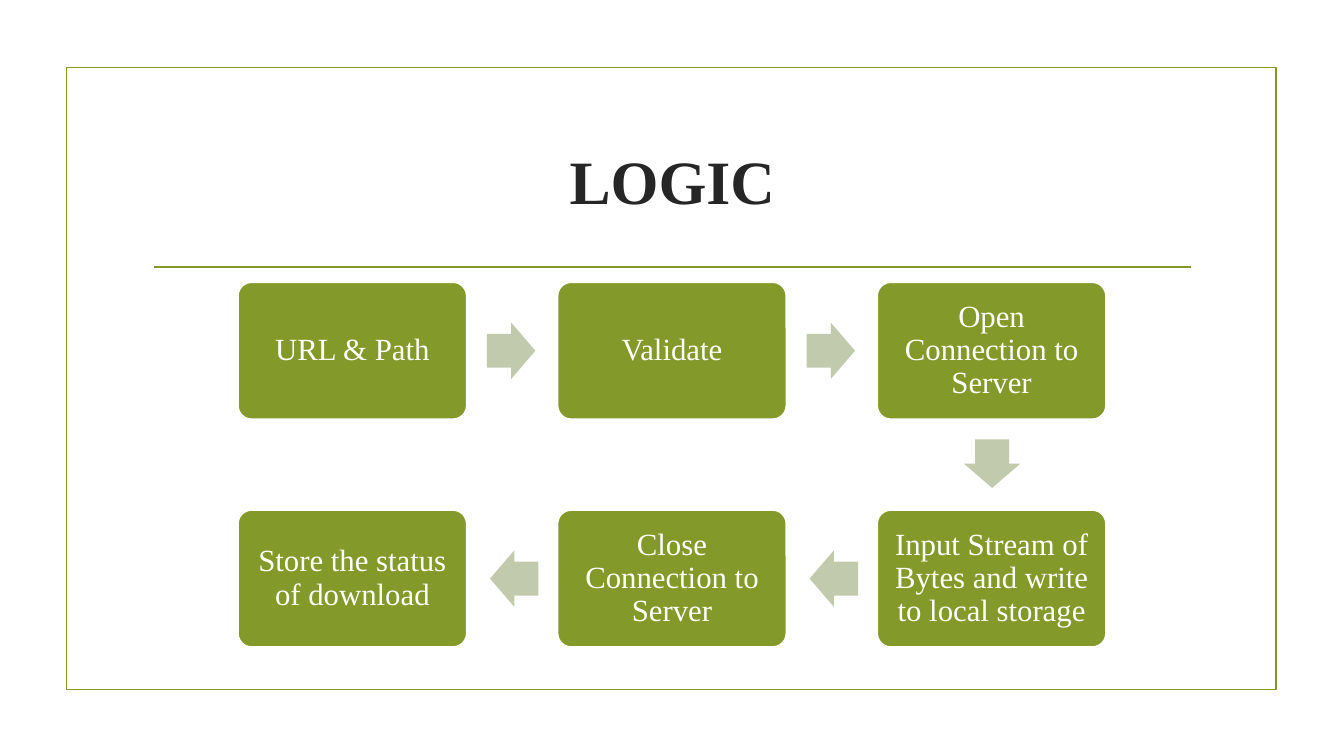
from typing import NamedTuple

from lxml import etree
from pptx import Presentation, util as u
from pptx.dml.color import RGBColor
from pptx.enum import shapes as sh, text as tx
from pptx.oxml.ns import qn

PX = 9144  # EMU per px, 100 px to the inch
FONT = "Times New Roman"
GREEN, PALE, WHITE, DARK = "83992A", "C1CAAD", "FFFFFF", "262626"
BOX_W, BOX_H = 227, 136
ARROW_W, ARROW_H = 48, 56
LEFT, TOP = 236, 280
COL_GAP, ROW_GAP = 317, 226


class Step(NamedTuple):
    label: str
    col: int
    row: int


class Arrow(NamedTuple):
    col: int
    row: int
    dx: int  # offset from the box in that cell
    dy: int
    turn: int = 0


STEPS = [
    Step("URL & Path", 0, 0),
    Step("Validate", 1, 0),
    Step("Open Connection to Server", 2, 0),
    Step("Input Stream of Bytes and write to local storage", 2, 1),
    Step("Close Connection to Server", 1, 1),
    Step("Store the status of download", 0, 1),
]
ARROWS = [
    Arrow(0, 0, 247, 40),
    Arrow(1, 0, 247, 40),
    Arrow(2, 0, 90, 152, 90),
    Arrow(1, 1, 250, 40, 180),
    Arrow(0, 1, 250, 40, 180),
]


def px(*vals: int) -> list[u.Emu]:
    return [u.Emu(v * PX) for v in vals]


def color(code: str) -> RGBColor:
    return RGBColor.from_string(code)


def cell(col: int, row: int) -> tuple[int, int]:
    return LEFT + col * COL_GAP, TOP + row * ROW_GAP


def write(shape, words: str, *, size: int, ink: str, bold: bool = False,
          inset: int = 9, space: float = 1.0) -> None:
    frame = shape.text_frame
    frame.word_wrap = True
    frame.vertical_anchor = tx.MSO_ANCHOR.MIDDLE
    (frame.margin_left, frame.margin_top,
     frame.margin_right, frame.margin_bottom) = px(*[inset] * 4)
    para = frame.paragraphs[0]
    para.alignment = tx.PP_ALIGN.CENTER
    para.line_spacing = space
    run = para.add_run()
    run.text = words
    run.font.name, run.font.size, run.font.bold = FONT, u.Pt(size), bold
    run.font.color.rgb = color(ink)


def draw(slide, kind, x: int, y: int, w: int, h: int, *,
         fill: str = "", line: str = "", adj: tuple[float, ...] = ()):
    shape = slide.shapes.add_shape(kind, *px(x, y, w, h))
    shape.shadow.inherit = False
    for i, val in enumerate(adj):
        shape.adjustments[i] = val
    if fill:
        shape.fill.solid()
        shape.fill.fore_color.rgb = color(fill)
    else:
        shape.fill.background()
    if line:
        shape.line.color.rgb = color(line)
        shape.line.width = u.Pt(1.25)
    else:
        shape.line.fill.background()
    return shape


def rule(slide, x1: int, y1: int, x2: int, y2: int) -> None:
    line = slide.shapes.add_connector(
        sh.MSO_CONNECTOR.STRAIGHT, *px(x1, y1, x2, y2))
    line.line.color.rgb = color(GREEN)
    line.line.width = u.Pt(1.25)
    etree.SubElement(line._element.spPr, qn("a:effectLst"))


def main() -> None:
    deck = Presentation()
    deck.slide_width, deck.slide_height = u.Inches(13.33), u.Inches(7.5)
    slide = deck.slides.add_slide(deck.slide_layouts[6])
    kinds = sh.MSO_SHAPE

    # Frame, rule and title
    draw(slide, kinds.RECTANGLE, 66, 67, 1200, 617, line=GREEN)
    rule(slide, 153, 265, 1181, 265)
    title = slide.shapes.add_textbox(*px(142, 107, 1050, 143))
    write(title, "LOGIC", size=44, ink=DARK, bold=True)

    # Steps of the flow
    for step in STEPS:
        box = draw(slide, kinds.ROUNDED_RECTANGLE, *cell(step.col, step.row),
                   BOX_W, BOX_H, fill=GREEN, line=WHITE, adj=(0.1,))
        write(box, step.label, size=22, ink=WHITE, space=0.9)

    # Arrows between steps
    for arrow in ARROWS:
        x, y = cell(arrow.col, arrow.row)
        shape = draw(slide, kinds.RIGHT_ARROW, x + arrow.dx, y + arrow.dy,
                     ARROW_W, ARROW_H, fill=PALE, adj=(0.6, 0.5))
        shape.rotation = arrow.turn

    deck.save("out.pptx")


if __name__ == "__main__":
    main()
